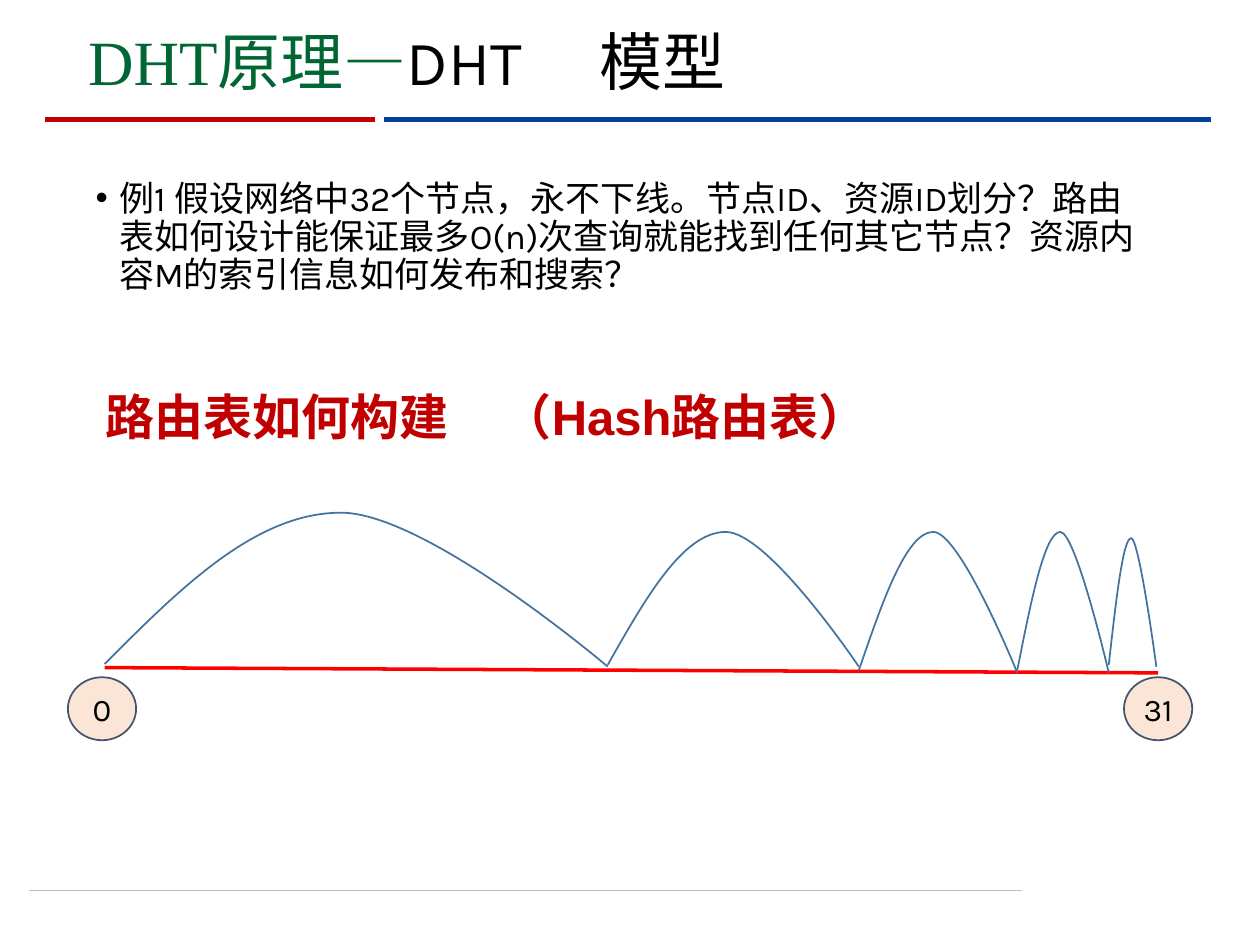
from lxml.etree import SubElement
from pptx import Presentation
from pptx.dml.color import RGBColor
from pptx.enum.shapes import MSO_CONNECTOR, MSO_SHAPE
from pptx.enum.text import MSO_ANCHOR, MSO_AUTO_SIZE, PP_ALIGN
from pptx.oxml.ns import qn
from pptx.util import Pt

BLACK = RGBColor(0x00, 0x00, 0x00)
GREEN = RGBColor(0x00, 0x66, 0x33)
CRIMSON = RGBColor(0xC0, 0x00, 0x00)
RED = RGBColor(0xFF, 0x00, 0x00)
NAVY = RGBColor(0x00, 0x42, 0x99)
GREY = RGBColor(0xBF, 0xBF, 0xBF)
ARC_BLUE = RGBColor(0x43, 0x73, 0x9E)
SLATE = RGBColor(0x44, 0x54, 0x6A)
PEACH = RGBColor(0xFB, 0xE5, 0xD6)
CJK = "Noto Sans CJK SC"

QUESTION = (
    "例1 假设网络中32个节点，永不下线。节点ID、资源ID划分？"
    "路由表如何设计能保证最多O(n)次查询就能找到任何其它节点？"
    "资源内容M的索引信息如何发布和搜索？"
)


def place(sp, box):
    """Move and size a shape to a box in points."""
    sp.left, sp.top, sp.width, sp.height = (Pt(v) for v in box)


def set_frame(tf, margins=(0, 0, 0, 0), **formats):
    """Set the margins and other properties of a text frame."""
    tf.margin_left, tf.margin_top, tf.margin_right, tf.margin_bottom = (
        Pt(v) for v in margins
    )
    for name, value in formats.items():
        setattr(tf, name, value)


def add_run(p, text, size, color, font="Karla", bold=False):
    """Add a formatted run with its East Asian font."""
    r = p.add_run()
    r.text = text
    formats = {"size": Pt(size), "name": font, "bold": bold}
    for name, value in formats.items():
        setattr(r.font, name, value)
    r.font.color.rgb = color
    SubElement(r.font._element, qn("a:ea"), typeface=CJK)


def add_tab(p, pos):
    """Give a paragraph one left tab stop."""
    tabs = SubElement(p._p.get_or_add_pPr(), qn("a:tabLst"))
    SubElement(tabs, qn("a:tab"), pos=str(Pt(pos)), algn="l")


def add_line(slide, start, end, color, width):
    """Draw a straight line without a shadow."""
    ends = (Pt(v) for v in (*start, *end))
    line = slide.shapes.add_connector(MSO_CONNECTOR.STRAIGHT, *ends)
    line.line.color.rgb = color
    line.line.width = Pt(width)
    SubElement(line._element.spPr, qn("a:effectLst"))


def add_rules(slide):
    """Draw the header and footer rules."""
    add_line(slide, (16.5, 509), (584, 509), GREY, 0.5)
    add_line(slide, (219.5, 68.4), (692, 68.4), NAVY, 3)
    add_line(slide, (26, 68.4), (214.5, 68.4), CRIMSON, 3)


def add_title(slide, box):
    """Fill the title placeholder."""
    sp = slide.shapes.title
    place(sp, box)
    tf = sp.text_frame
    set_frame(tf, word_wrap=True, auto_size=MSO_AUTO_SIZE.NONE,
              vertical_anchor=MSO_ANCHOR.BOTTOM)
    p = tf.paragraphs[0]
    add_tab(p, 292)
    p.alignment = PP_ALIGN.LEFT
    add_run(p, "DHT", 36, GREEN, "Times New Roman")
    add_run(p, "原理", 36, GREEN, CJK)
    add_run(p, "—", 36, GREEN)
    add_run(p, "DHT\t模型", 36, BLACK)


def add_question(slide, box):
    """Add the bulleted example question."""
    tf = slide.shapes.add_textbox(*(Pt(v) for v in box)).text_frame
    set_frame(tf, (7.2, 3.6, 7.2, 3.6), word_wrap=True)
    p = tf.paragraphs[0]
    pPr = p._p.get_or_add_pPr()
    pPr.set("marL", str(Pt(13.5)))
    pPr.set("indent", str(Pt(-13.5)))
    SubElement(pPr, qn("a:buFont"), typeface="Arial")
    SubElement(pPr, qn("a:buChar"), char="•")
    p.line_spacing = 0.9
    add_run(p, QUESTION, 20, BLACK)


def add_heading(slide, box):
    """Add the routing table heading."""
    tf = slide.shapes.add_textbox(*(Pt(v) for v in box)).text_frame
    set_frame(tf, (7.2, 3.6, 7.2, 3.6), word_wrap=False)
    p = tf.paragraphs[0]
    add_tab(p, 227)
    add_run(p, "路由表如何构建\t（Hash路由表）", 28, CRIMSON, "Arial", True)


def add_arc(slide, left, right, start, top, end):
    """Draw one skewed arc from two cubic curves."""
    ratios = (0.15, 0.3, 0.47, 0.64, 1, 1)
    heights = ((start + top) / 2, top, top, top, end, end)
    points = [(Pt(left + (right - left) * k), Pt(y))
              for k, y in zip(ratios, heights)]
    builder = slide.shapes.build_freeform(Pt(left), Pt(start))
    builder.add_line_segments(points, close=False)
    sp = builder.convert_to_shape()
    lines = list(sp._element.iter(qn("a:lnTo")))
    outline = lines[0].getparent()
    for i in range(0, len(lines), 3):
        curve = SubElement(outline, qn("a:cubicBezTo"))
        for line in lines[i:i + 3]:
            curve.append(line[0])
            outline.remove(line)
    sp.shadow.inherit = False
    sp.fill.background()
    sp.line.color.rgb = ARC_BLUE
    sp.line.width = Pt(1)


def add_node(slide, box, label):
    """Add a numbered node circle."""
    sp = slide.shapes.add_shape(MSO_SHAPE.OVAL, *(Pt(v) for v in box))
    sp.shadow.inherit = False
    sp.fill.solid()
    sp.fill.fore_color.rgb = PEACH
    sp.line.color.rgb = SLATE
    sp.line.width = Pt(1)
    tf = sp.text_frame
    set_frame(tf, word_wrap=True, vertical_anchor=MSO_ANCHOR.MIDDLE)
    p = tf.paragraphs[0]
    p.alignment = PP_ALIGN.CENTER
    add_run(p, label, 18, BLACK)


def add_node_line(slide, box):
    """Draw the node axis, its halving arcs and its end nodes."""
    x, y, w, h = box
    add_line(slide, (x, y + 88.5), (x + w, y + 91.5), RED, 2)
    stops = (0, 287.5, 431, 521.5, 573.8, 601)
    levels = ((86.5, 0, 88), (87, 11, 88), (90, 11, 91.5),
              (90, 11, 91.5), (87, 14.5, 88))
    for left, right, level in zip(stops, stops[1:], levels):
        add_arc(slide, x + left, x + right, *(y + v for v in level))
    for center, label in ((x - 1.5, "0"), (x + w, "31")):
        add_node(slide, (center - 19.5, y + h - 36, 39, 36), label)


def main():
    """Build and save the slide."""
    prs = Presentation()
    prs.slide_width, prs.slide_height = Pt(720), Pt(540)
    slide = prs.slides.add_slide(prs.slide_layouts[5])
    add_rules(slide)
    add_title(slide, (50.4, 11.5, 494, 44.6))
    add_question(slide, (47.5, 100, 620.6, 352))
    add_heading(slide, (53.3, 217.5, 463.7, 41))
    add_node_line(slide, (59.8, 293, 602, 130))
    prs.save("out.pptx")


if __name__ == "__main__":
    main()
